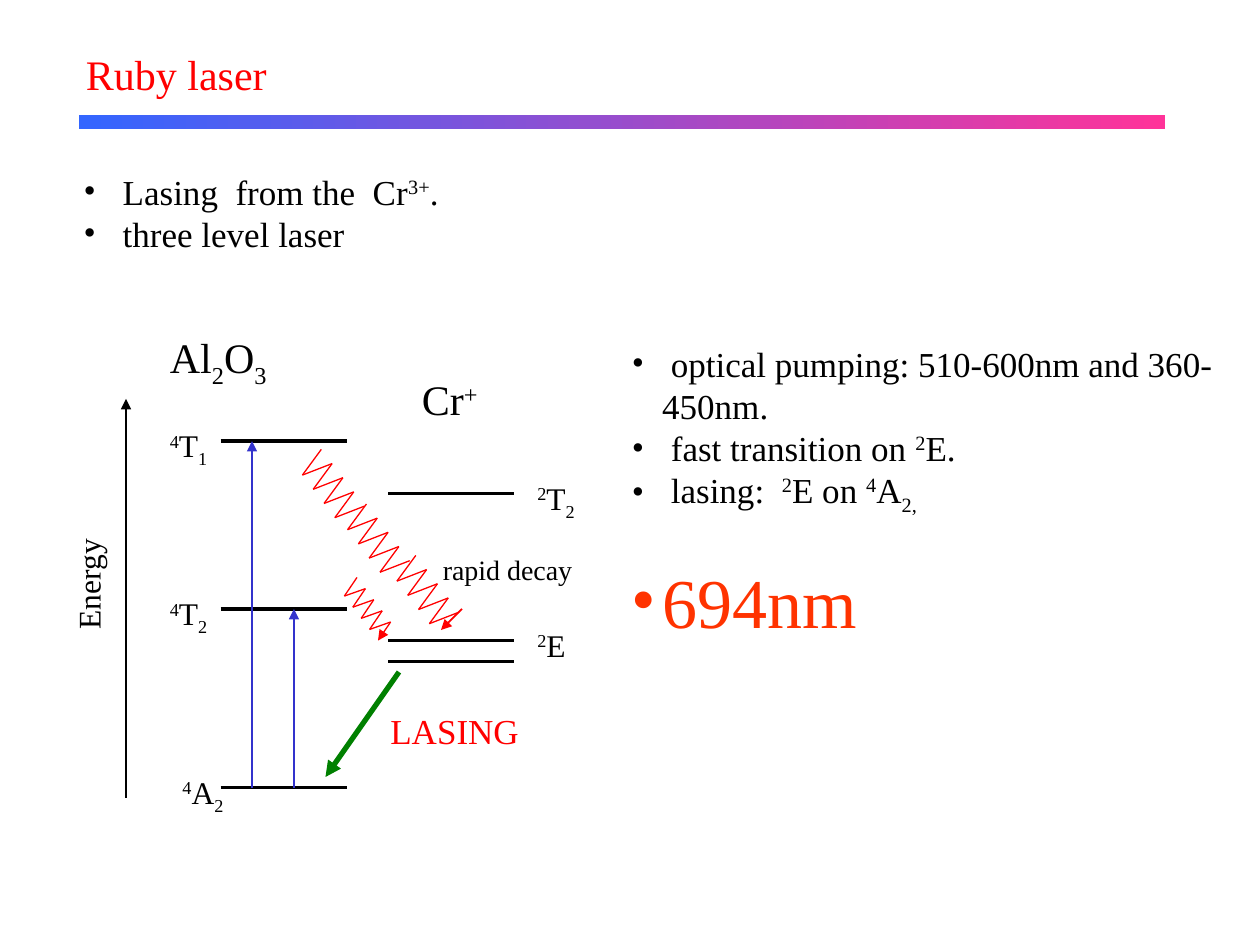
from pptx import Presentation
from pptx.dml.color import RGBColor
from pptx.enum.shapes import MSO_CONNECTOR as CONN, MSO_SHAPE as SHAPE
from pptx.oxml.ns import qn
from pptx.util import Inches, Pt
from lxml.etree import SubElement

COLS, ROWS = 120, 90        # grid over the 10 x 7.5 inch slide
CELL = Inches(10) / COLS
FONT = "Times New Roman"
BLACK, RED, ORANGE, BLUE, GREEN = "000000", "FF0000", "FF3300", "3333CC", "008000"
SUP, SUB = 30, -25          # baseline shifts in percent


def rgb(color):
    return RGBColor.from_string(color)


def cells(*values):
    return [round(v * CELL) for v in values]


def add_runs(p, runs, size, color):
    """Each run is a string, or a pair of string and baseline shift."""
    for run in runs:
        text, shift = (run, 0) if isinstance(run, str) else run
        r = p.add_run()
        r.text = text
        r.font.name, r.font.size = FONT, Pt(size)
        r.font.color.rgb = rgb(color)
        if shift:
            r.font._element.set("baseline", str(shift * 1000))


def add_label(s, box, runs, size=18, color=BLACK):
    sp = s.shapes.add_textbox(*cells(*box))
    tf = sp.text_frame
    tf.word_wrap = True
    add_runs(tf.paragraphs[0], runs, size, color)
    return sp


def add_bullets(s, box, items):
    """Each item is (runs, size, colour, space before)."""
    tf = s.shapes.add_textbox(*cells(*box)).text_frame
    tf.word_wrap = True
    for i, (runs, size, color, before) in enumerate(items):
        p = tf.add_paragraph() if i else tf.paragraphs[0]
        p.space_before = Pt(before)
        pPr = p._p.get_or_add_pPr()
        indent = Inches(0.24)
        pPr.set("marL", str(indent))
        pPr.set("indent", str(-indent))
        SubElement(SubElement(pPr, qn("a:buClr")), qn("a:srgbClr")).set("val", color)
        SubElement(pPr, qn("a:buFont")).set("typeface", FONT)
        SubElement(pPr, qn("a:buChar")).set("char", "•")
        add_runs(p, runs, size, color)


def add_line(s, start, end, color=BLACK, width=1, arrow=False):
    c = s.shapes.add_connector(CONN.STRAIGHT, *cells(*start, *end))
    c.line.color.rgb = rgb(color)
    c.line.width = Pt(width)
    if arrow:
        SubElement(c.line._get_or_add_ln(), qn("a:tailEnd")).set("type", "triangle")
    SubElement(c._element.spPr, qn("a:effectLst"))


def add_zigzag(s, start, step, tooth, count, arrow=False):
    """Peaks follow step; each valley lies one tooth away from its peak."""
    points = []
    for i in range(count + 1):
        px, py = start[0] + i * step[0], start[1] + i * step[1]
        points += [(px, py), (px + tooth[0], py + tooth[1])]
    points.pop()
    if arrow:
        points.pop()        # finish on a valley
    last = len(points) - 2
    for i, (a, b) in enumerate(zip(points, points[1:])):
        add_line(s, a, b, RED, 0.75, arrow and i == last)


def add_header(s, x, y, w, h):
    add_label(s, (x, y, 22, 6), ["Ruby laser"], 24, RED)
    bar = s.shapes.add_shape(SHAPE.RECTANGLE, *cells(x + 0.55, y + h - 1.3, w, 1.3))
    bar.shadow.inherit = False
    bar.line.fill.background()
    bar.fill.gradient()
    bar.fill.gradient_angle = 0
    for stop, position, color in zip(bar.fill.gradient_stops, (0, 1), ("3366FF", "FF3399")):
        stop.position = position
        stop.color.rgb = rgb(color)


def add_energy_diagram(s, x, y, w, h):
    def at(dx, dy):
        return x + dx, y + dy

    # Energy axis
    add_line(s, at(9, h), at(9, h - 38), arrow=True)
    add_label(s, (*at(-0.6, 22.7), 12, 4.8), ["Energy"]).rotation = 270

    # Levels: pump bands on the left, chromium states on the right
    left, right, length = 18, 34, 12
    ground, t2, t1 = 45, 28, 12
    levels = [(left, ground), (left, t2), (left, t1), (right, 33), (right, 31), (right, 17)]
    for col, row in levels:
        add_line(s, at(col, row), at(col + length, row), width=2)

    # Level names
    names = [(13.2, 43, "4", "A", "2"), (12, 26, "4", "T", "2"), (12, 10, "4", "T", "1"),
             (47, 15, "2", "T", "2"), (47, 29, "2", "E", "")]
    for col, row, spin, term, sub in names:
        runs = [(spin, SUP), term] + ([(sub, SUB)] if sub else [])
        add_label(s, (*at(col, row), 7.5, 5), runs)

    # Optical pumping
    for col, row in ((21, t1), (25, t2)):
        add_line(s, at(col, ground), at(col, row), BLUE, arrow=True)

    # Rapid decay
    add_zigzag(s, at(31, 25), (0.8, 1.06), (-1.2, 1.77), 5, arrow=True)
    for start in ((27.6, 12.8), (31.9, 18), (36.6, 22.9)):
        add_zigzag(s, at(*start), (1.03, 1.35), (-1.8, 2.45), 4)
    add_line(s, at(41, 28), at(39, 30), RED, arrow=True)
    add_label(s, (*at(38, 22), 17, 4.4), ["rapid decay"], 16)

    # Laser transition
    add_line(s, at(35, 34), at(28, 44), GREEN, 3, arrow=True)
    add_label(s, (*at(33, 37), 17, 5.3), ["LASING"], 20, RED)

    # Host and dopant headings
    add_label(s, (*at(12, 1), 19, 6), ["Al", ("2", SUB), "O", ("3", SUB)], 24)
    add_label(s, (*at(36, 5), 13, 6), ["Cr", ("+", SUP)], 24)


def main():
    prs = Presentation()
    prs.slide_width, prs.slide_height = cells(COLS, ROWS)
    s = prs.slides.add_slide(prs.slide_layouts[6])

    add_header(s, 7, 4, 103.4, 8.3)
    add_bullets(s, (6.8, 15.6, 104.2, 9.2), [
        ([" Lasing  from the  Cr", ("3+", SUP), "."], 20, BLACK, 0),
        ([" three level laser"], 20, BLACK, 0),
    ])
    add_energy_diagram(s, 3, 30, 53, 46)
    add_bullets(s, (59, 32, 58, 37.8), [
        ([" optical pumping: 510-600nm and 360-450nm."], 20, BLACK, 0),
        ([" fast transition on ", ("2", SUP), "E."], 20, BLACK, 0),
        ([" lasing:  ", ("2", SUP), "E on ", ("4", SUP), "A", ("2,", SUB)], 20, BLACK, 0),
        (["694nm"], 40, ORANGE, 24),
    ])
    prs.save("out.pptx")


if __name__ == "__main__":
    main()
